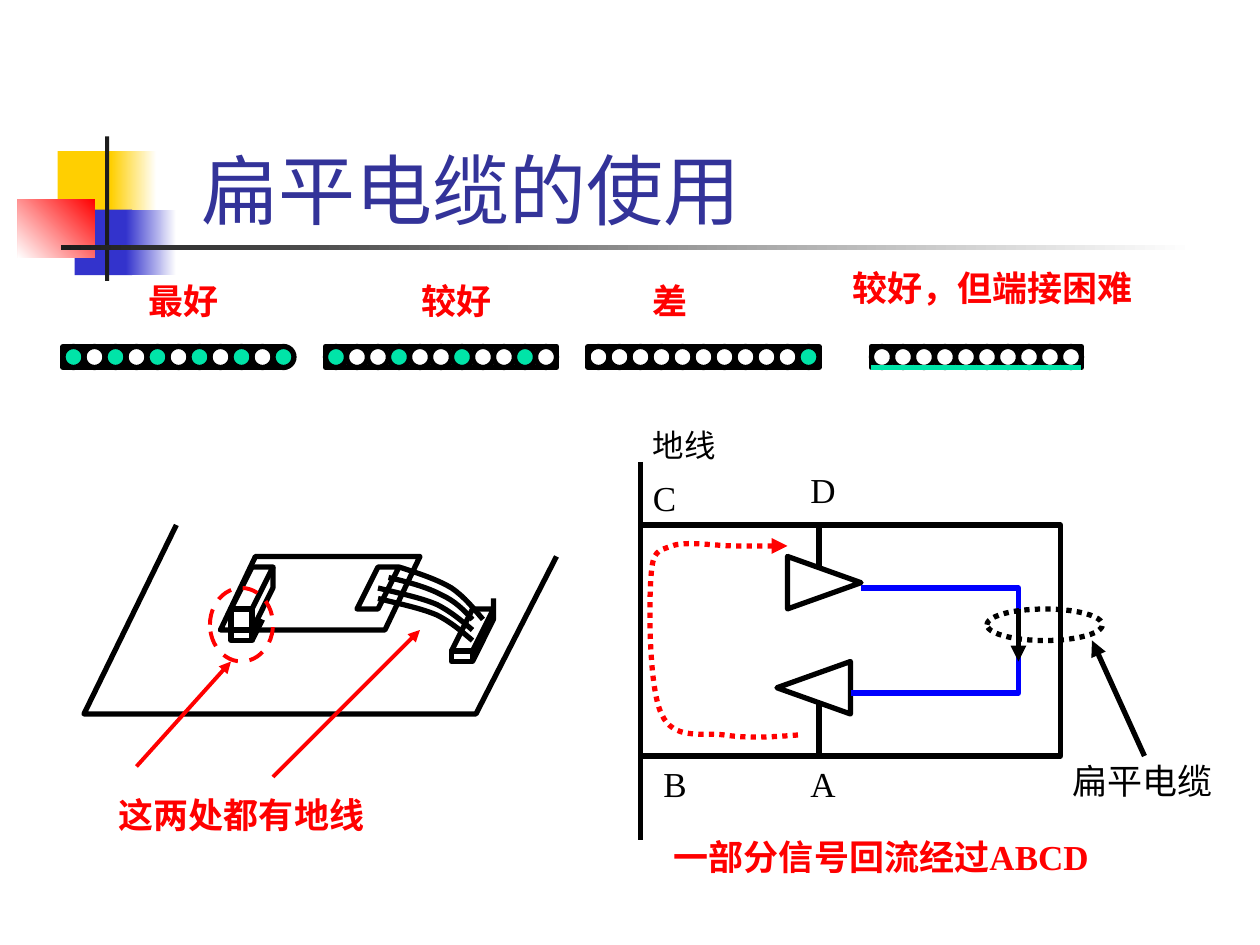
from dataclasses import dataclass
from typing import Any

from pptx import Presentation
from pptx.dml.color import RGBColor
from pptx.enum.dml import MSO_LINE as Dash
from pptx.enum.shapes import MSO_CONNECTOR, MSO_SHAPE as Preset
from pptx.enum.text import MSO_ANCHOR, MSO_AUTO_SIZE, PP_ALIGN
from pptx.oxml.ns import qn
from pptx.util import Pt

BLACK, WHITE, RED, GREEN, BLUE = "000000", "FFFFFF", "FF0000", "00E4A8", "0000FF"
SERIF, SANS = "Times New Roman", "Cabin"
PITCH = 12


def rgb(code):
    return RGBColor.from_string(code)


def style_line(item, color, width, dash=None, arrow=False):
    item.line.color.rgb = rgb(color)
    item.line.width = Pt(width)
    if dash:
        item.line.dash_style = dash
    if arrow:
        ln = item._element.spPr.find(qn("a:ln"))
        ln.append(ln.makeelement(qn("a:tailEnd"), {"type": "triangle"}))


def bend(freeform):
    """Turn every three line segments into one cubic Bézier segment."""
    route = freeform._element.find(".//" + qn("a:path"))
    segments = route.findall(qn("a:lnTo"))
    for first in range(0, len(segments), 3):
        curve = route.makeelement(qn("a:cubicBezTo"), {})
        for segment in segments[first:first + 3]:
            curve.append(segment[0])
            route.remove(segment)
        route.append(curve)


@dataclass
class Region:
    """Part of the slide; its members are placed from its left top corner."""
    slide: Any
    left: float
    top: float

    def shape(self, preset, x, y, width, height, color=BLACK, weight=3, fill=None, dash=None):
        item = self.slide.shapes.add_shape(
            preset, Pt(self.left + x), Pt(self.top + y), Pt(width), Pt(height))
        item.shadow.inherit = False
        if fill:
            item.fill.solid()
            item.fill.fore_color.rgb = rgb(fill)
        else:
            item.fill.background()
        if color:
            style_line(item, color, weight, dash)
        else:
            item.line.fill.background()
        return item

    def fade(self, x, y, width, height, color, angle=0):
        item = self.shape(Preset.RECTANGLE, x, y, width, height, None)
        item.fill.gradient()
        item.fill.gradient_angle = angle
        for stop, code in zip(item.fill.gradient_stops, (color, WHITE)):
            stop.color.rgb = rgb(code)

    def line(self, start, end, color=BLACK, weight=3, arrow=False):
        ends = [Pt(value) for x, y in (start, end) for value in (self.left + x, self.top + y)]
        item = self.slide.shapes.add_connector(MSO_CONNECTOR.STRAIGHT, *ends)
        style_line(item, color, weight, arrow=arrow)
        properties = item._element.spPr
        properties.append(properties.makeelement(qn("a:effectLst"), {}))

    def outline(self, points, color=BLACK, close=False, curved=False, dash=None, arrow=False):
        start, *rest = [(Pt(self.left + x), Pt(self.top + y)) for x, y in points]
        builder = self.slide.shapes.build_freeform(*start)
        builder.add_line_segments(rest, close=close)
        item = builder.convert_to_shape()
        item.shadow.inherit = False
        item.fill.background()
        style_line(item, color, 3, dash, arrow)
        if curved:
            bend(item)

    def label(self, text, x, y, width, color=BLACK, size=20, bold=False, font=SERIF, align=None):
        box = self.slide.shapes.add_textbox(
            Pt(self.left + x), Pt(self.top + y), Pt(width), Pt(size * 1.2 + 7.2))
        box.text_frame.word_wrap = True
        paragraph = box.text_frame.paragraphs[0]
        paragraph.text = text
        paragraph.alignment = align
        paragraph.font.name, paragraph.font.size, paragraph.font.bold = font, Pt(size), bold
        paragraph.font.color.rgb = rgb(color)


def decoration(region):
    region.shape(Preset.RECTANGLE, 23, 8.4, 34.6, 37.4, None, fill="FFCF01")
    region.fade(53.4, 8.4, 26, 37.4, "FFCF01")
    region.shape(Preset.RECTANGLE, 32.6, 41.8, 33, 37.4, None, fill="3333CC")
    region.fade(62, 41.8, 28.8, 37.4, "3333CC")
    region.fade(0, 35.8, 44.2, 33.4, RED, angle=225)
    region.shape(Preset.RECTANGLE, 50, 0, 2.4, 82.6, None, fill="1C1C1C")
    region.fade(24.8, 62.2, 648, 2.4, "1C1C1C")


def title(slide, text, left, top, width, height):
    holder = slide.shapes.title
    holder.left, holder.top, holder.width, holder.height = map(Pt, (left, top, width, height))
    frame = holder.text_frame
    frame.auto_size = MSO_AUTO_SIZE.NONE
    frame.vertical_anchor = MSO_ANCHOR.BOTTOM
    paragraph = frame.paragraphs[0]
    paragraph.text = text
    paragraph.alignment = PP_ALIGN.LEFT
    paragraph.font.name, paragraph.font.size = SANS, Pt(44)
    paragraph.font.color.rgb = rgb("333399")


def cable(region, verdict, verdict_box, wires, grounds, width):
    """Cross-section of a ribbon cable, with its ground wires in green."""
    region.shape(Preset.RECTANGLE, 0, 0, width, PITCH)
    for wire in range(wires):
        region.shape(Preset.OVAL, wire * PITCH, 0, PITCH, PITCH,
                     fill=GREEN if wire in grounds else None)
    region.label(verdict, *verdict_box, RED, bold=True)


def board(region):
    region.outline([(98, 18), (78, 60), (172, 60), (192, 18)], close=True)
    # Connector under the card
    region.shape(Preset.RECTANGLE, 84, 60, 12, 6)
    region.line((96, 66), (102, 54))
    region.shape(Preset.RECTANGLE, 84, 48, 12, 12)
    region.outline([(84, 48), (96, 24), (108, 24), (96, 48)])
    region.outline([(108, 24), (108, 36), (96, 60)])
    # Socket on the card and plug on the board
    for x, y in ((156, 48), (210, 72)):
        region.outline([(x, y), (x + 12, y - 24), (x + 24, y - 24), (x + 12, y)], close=True)
    region.shape(Preset.RECTANGLE, 210, 72, 12, 6)
    region.outline([(222, 78), (234, 54), (234, 42)])

    third_wire = [(168, 36), (180, 39), (192.5, 41.5), (201.8, 45.5),
                  (210.5, 50), (216, 55), (222, 60)]
    wires = [
        [(180, 24), (191, 27.6), (202, 31.2), (210, 36), (217.7, 41.3), (222.7, 47.8), (228, 54)],
        [(174, 30), (185.3, 32.6), (196, 35.5), (204, 39.8), (212, 43.4), (217, 48.5), (222, 54)],
        third_wire,
        [(x, y + 6) for x, y in third_wire],
    ]
    for wire in wires:
        region.outline(wire, curved=True)
    region.outline([(52.8, 0), (0, 108), (224, 108), (270, 18)])

    region.shape(Preset.OVAL, 72, 36, 36, 42, RED, 2.25, dash=Dash.DASH)
    region.line((30, 138), (84, 78), RED, 2.25, arrow=True)
    region.line((108, 144), (192, 60), RED, 2.25, arrow=True)
    region.label("这两处都有地线", 12, 150, 156, RED, bold=True, font=SANS, align=PP_ALIGN.CENTER)


def circuit(region):
    for x, y, turn in ((90, 72, 90), (84, 132, 270)):
        region.shape(Preset.ISOSCELES_TRIANGLE, x, y, 30, 42, fill=WHITE).rotation = turn
    region.outline([(126, 96), (216, 96), (216, 156), (120, 156)], BLUE)
    region.line((102, 60), (102, 84))
    region.line((102, 162), (102, 192))
    region.line((0, 24), (0, 240))
    region.outline([(0, 60), (240, 60), (240, 192), (0, 192)])
    region.line((216, 108), (216, 138), arrow=True)

    return_current = [(90, 180), (75.4, 181.2), (61, 182), (48, 180), (35, 178.3), (19, 183.4),
                      (12, 168), (4.8, 153), (4.8, 106), (6, 90), (7, 74), (10, 75), (18, 72),
                      (25.7, 69), (43, 72), (54, 72), (65, 72), (75, 72), (84, 72)]
    region.outline(return_current, RED, curved=True, dash=Dash.ROUND_DOT, arrow=True)

    region.label("地线", 0, 0, 60, size=18)
    for corner, x, y in (("A", 90, 192), ("B", 6, 192), ("C", 0, 28.5), ("D", 90, 24)):
        region.label(corner, x, y, 42)
    region.label("一部分信号回流经过ABCD", 12, 234, 258, RED, bold=True)
    region.label("扁平电缆", 240, 190.6, 108)
    region.line((288, 192), (258, 126), arrow=True)
    region.shape(Preset.OVAL, 198, 108, 66, 18, dash=Dash.ROUND_DOT)


def main():
    deck = Presentation()
    deck.slide_width, deck.slide_height = Pt(720), Pt(540)
    slide = deck.slides.add_slide(deck.slide_layouts[5])
    decoration(Region(slide, 10, 78))
    title(slide, "扁平电缆的使用", 108, 48, 613, 90)

    cables = [
        (36, "最好", (42, -42, 66), 11, range(0, 11, 2), 126),
        (186, "较好", (48, -42, 66), 11, range(0, 11, 3), 132),
        (336, "差", (30, -42, 66), 11, [10], 132),
        (498, "较好，但端接困难", (-18, -49, 186), 10, [], 120),
    ]
    for left, *details in cables:
        cable(Region(slide, left, 198), *details)
    Region(slide, 498, 198).line((0, PITCH), (120, PITCH), GREEN)

    board(Region(slide, 48, 300))
    circuit(Region(slide, 366, 240))
    deck.save("out.pptx")


if __name__ == "__main__":
    main()
